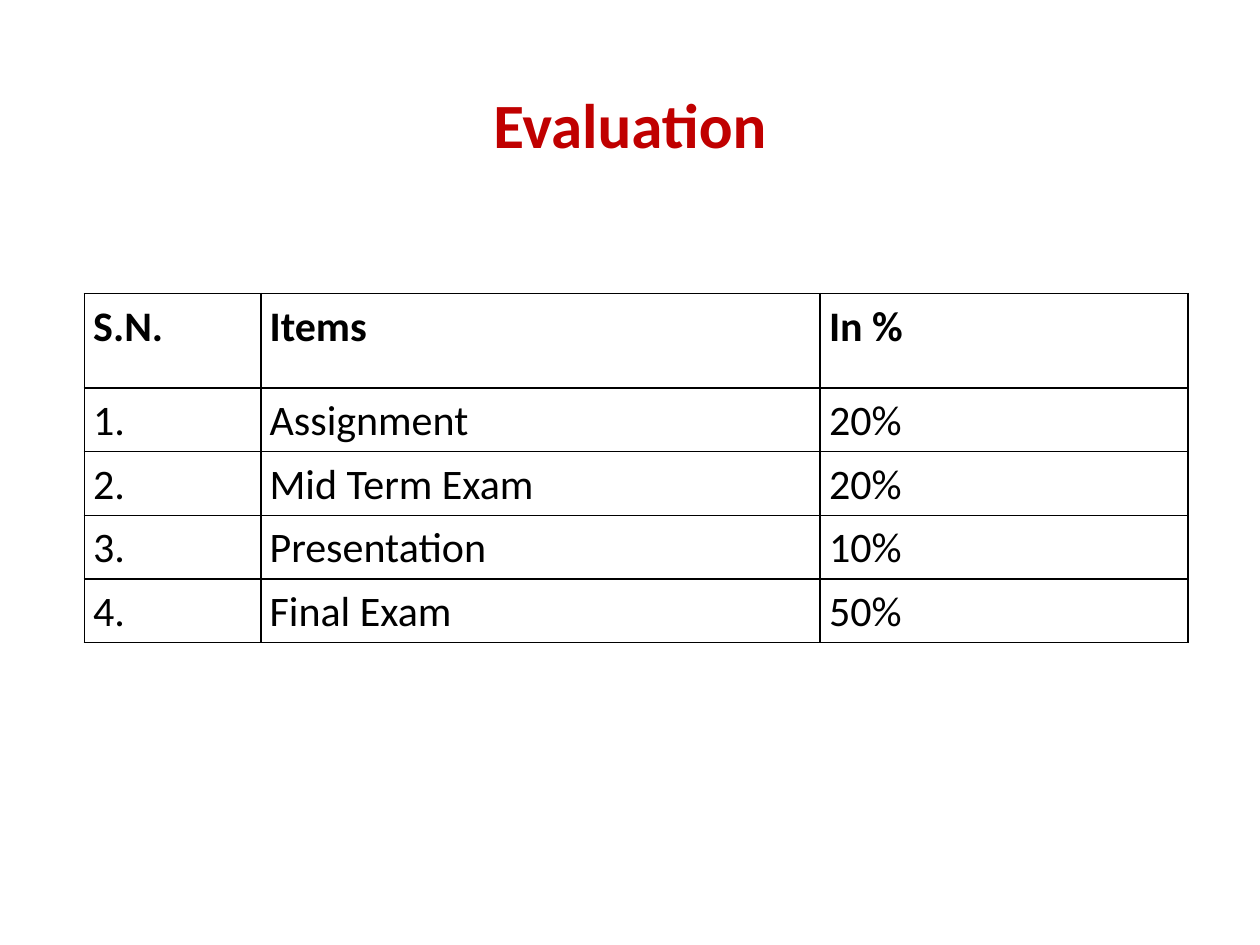
from lxml.etree import SubElement
from pptx import Presentation
from pptx.dml.color import RGBColor
from pptx.enum.text import MSO_ANCHOR, PP_ALIGN
from pptx.oxml.ns import qn
from pptx.util import Inches, Pt

FONT = "Calibri"
BLACK, RED = "000000", "C00000"
COLUMN_WIDTHS = [1.4, 4.44, 2.92]
HEADER_HEIGHT, ITEM_HEIGHT = 0.75, 0.505
HEADINGS = ["S.N.", "Items", "In %"]
ITEMS = [
    ("Assignment", "20%"),
    ("Mid Term Exam", "20%"),
    ("Presentation", "10%"),
    ("Final Exam", "50%"),
]


def color(value):
    return RGBColor.from_string(value)


def add_span(para, text, size, shade, bold):
    span = para.add_run()
    span.text = text
    span.font.name = FONT
    span.font.size = Pt(size)
    span.font.bold = bold
    span.font.color.rgb = color(shade)


def add_title(page, text):
    box = page.shapes.title
    box.left, box.top = Inches(0.5), Inches(0.3)
    box.width, box.height = Inches(9), Inches(1.25)
    frame = box.text_frame
    frame.vertical_anchor = MSO_ANCHOR.MIDDLE
    frame.margin_top = Inches(0.16)
    para = frame.paragraphs[0]
    para.alignment = PP_ALIGN.CENTER
    add_span(para, text, 36, RED, True)


def add_borders(cell):
    properties = cell._tc.get_or_add_tcPr()
    for index, side in enumerate(("lnL", "lnR", "lnT", "lnB")):
        line = properties.makeelement(qn(f"a:{side}"), {"w": str(Pt(1))})
        fill = SubElement(line, qn("a:solidFill"))
        SubElement(fill, qn("a:srgbClr"), val=BLACK)
        # Borders must come before the cell's fill
        properties.insert(index, line)


def fill_cell(cell, text, bold):
    cell.fill.background()
    cell.margin_left = cell.margin_right = Inches(0.07)
    cell.margin_top = cell.margin_bottom = 0
    para = cell.text_frame.paragraphs[0]
    para.alignment = PP_ALIGN.JUSTIFY
    para.line_spacing = 1.15
    add_span(para, text, 24, BLACK, bold)
    add_borders(cell)


def add_evaluation_table(page):
    rows = [HEADINGS]
    rows += [(f"{number}.", *item) for number, item in enumerate(ITEMS, 1)]
    heights = [HEADER_HEIGHT] + [ITEM_HEIGHT] * len(ITEMS)
    table = page.shapes.add_table(
        len(rows), len(COLUMN_WIDTHS), Inches(0.67), Inches(2.33),
        Inches(sum(COLUMN_WIDTHS)), Inches(sum(heights)),
    ).table
    table.horz_banding = False
    for column, width in zip(table.columns, COLUMN_WIDTHS):
        column.width = Inches(width)
    for row, height, texts in zip(table.rows, heights, rows):
        row.height = Inches(height)
        for cell, text in zip(row.cells, texts):
            fill_cell(cell, text, bold=texts is HEADINGS)


def main():
    deck = Presentation()
    deck.slide_width, deck.slide_height = Inches(10), Inches(7.5)
    page = deck.slides.add_slide(deck.slide_layouts[5])
    add_title(page, "Evaluation")
    add_evaluation_table(page)
    deck.save("out.pptx")


if __name__ == "__main__":
    main()
